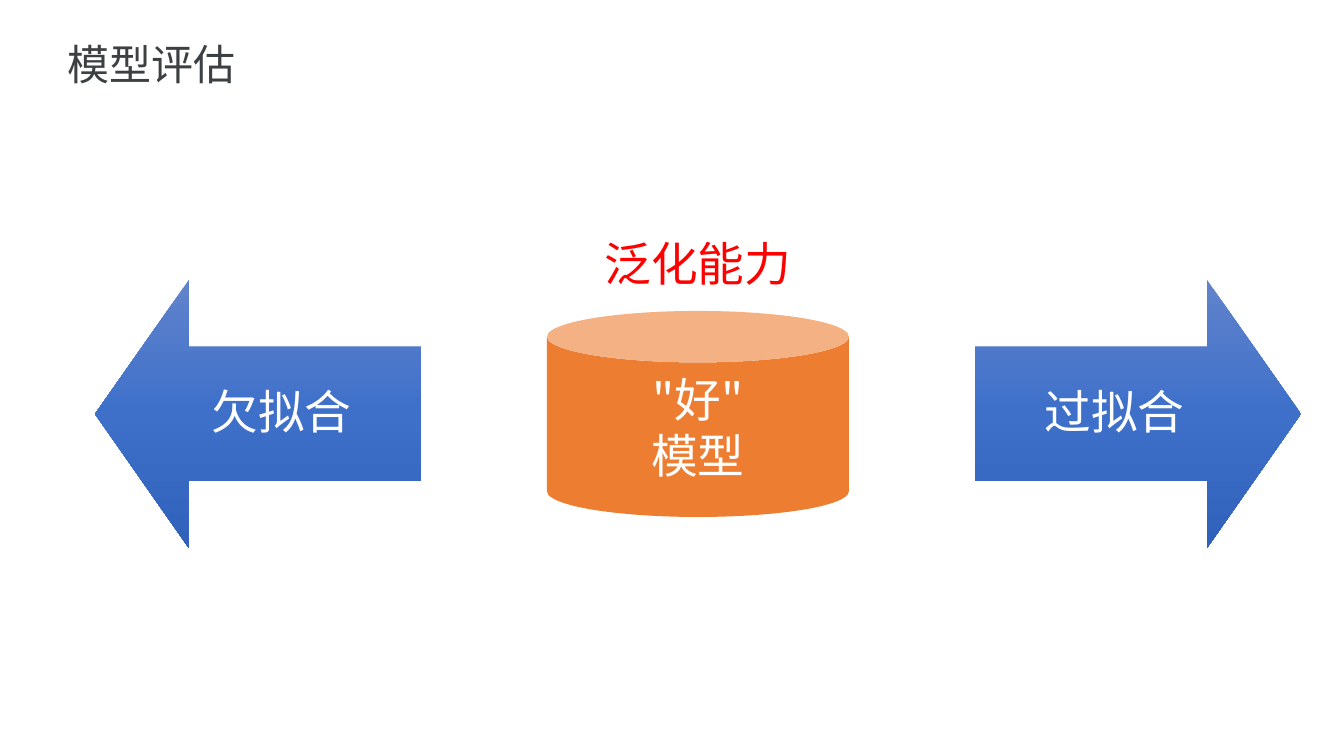
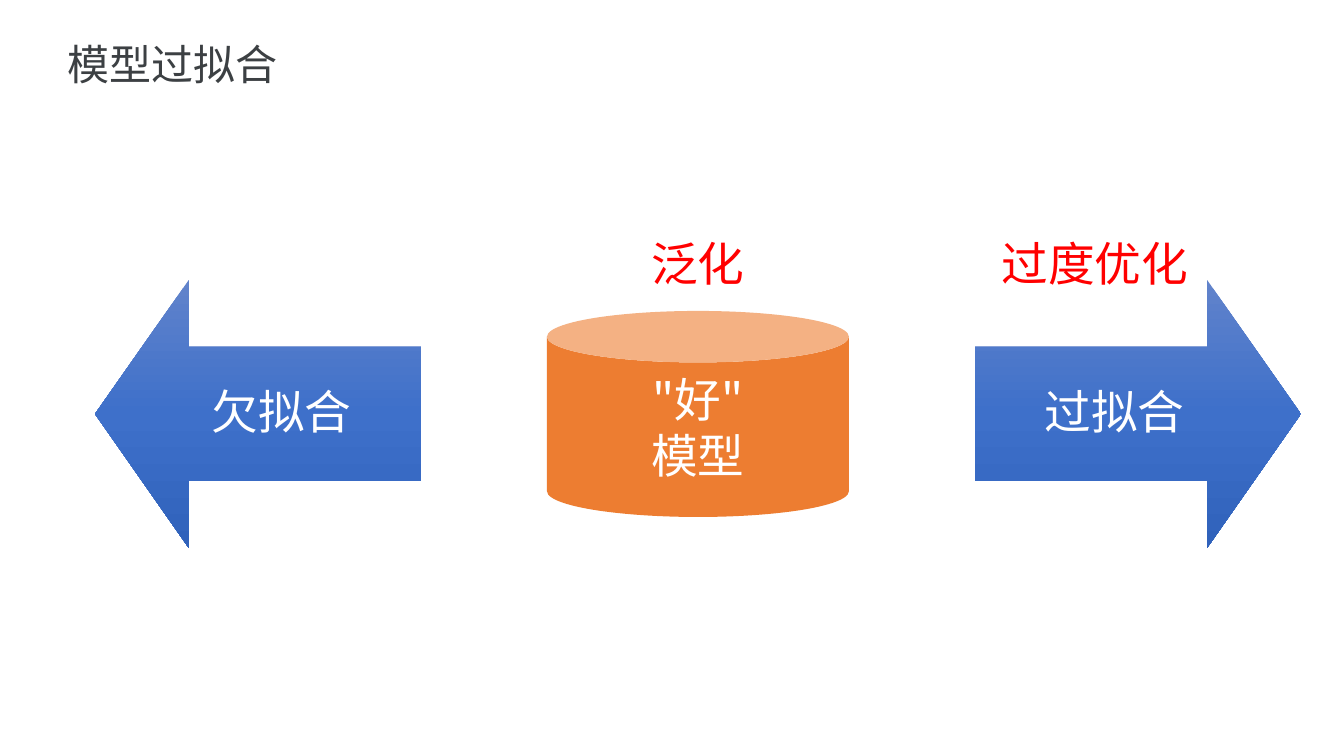
"""Build two slides that set a good model between underfitting and overfitting."""
import copy

import pptx
import pptx.dml.color
import pptx.enum.shapes
import pptx.enum.text
import pptx.oxml.ns
import pptx.util
from lxml import etree

SLIDES = [
    {"title": "模型评估", "labels": [("泛化能力", 698)]},
    {"title": "模型过拟合", "labels": [("泛化", 698), ("过度优化", 1095)]},
]
ARROWS = [("欠拟合", "LEFT_ARROW", 258), ("过拟合", "RIGHT_ARROW", 1138)]
MODEL = ['"好"', "模型"]
MODEL_CENTRE = 698

COLOURS = {"title": "3C4043", "label": "FF0000", "text": "FFFFFF", "model": "ED7D31"}
ARROW_GRADIENT = ["6183CB", "3E70CA", "3062BB"]
FONT = "Noto Sans CJK SC"
EMU_PER_PX = 914400 // 84
TITLE_BOX = (60, 36, 958, 65)
ARROW_TOP, ARROW_SIZE = 280, (326, 268)
MODEL_TOP, MODEL_SIZE = 311, (302, 206)
LABEL_TOP, LABEL_SIZE = 199, (297, 108)
INSET = 8

PRESETS = pptx.enum.shapes.MSO_SHAPE
ALIGN = pptx.enum.text.PP_ALIGN
ANCHOR = pptx.enum.text.MSO_ANCHOR


def px(length):
    return pptx.util.Emu(round(length * EMU_PER_PX))


def rgb(name):
    return pptx.dml.color.RGBColor.from_string(COLOURS.get(name, name))


def centred(centre, top, size):
    width, height = size
    return [px(length) for length in (centre - width / 2, top, width, height)]


def write(shape, lines, colour, size=40, align=ALIGN.CENTER, anchor=ANCHOR.MIDDLE, spacing=1.0):
    frame = shape.text_frame
    frame.word_wrap = True
    frame.auto_size = pptx.enum.text.MSO_AUTO_SIZE.NONE
    frame.vertical_anchor = anchor
    frame.margin_left = frame.margin_right = px(INSET)
    frame.margin_top = frame.margin_bottom = px(INSET)
    frame.text = "\n".join(lines)
    for paragraph in frame.paragraphs:
        paragraph.alignment = align
        paragraph.line_spacing = spacing
        paragraph.font.size = pptx.util.Pt(size)
        paragraph.font.name = FONT
        paragraph.font.color.rgb = rgb(colour)
    for properties in shape.element.iter(pptx.oxml.ns.qn("a:defRPr")):
        etree.SubElement(properties, pptx.oxml.ns.qn("a:ea"), typeface=FONT)


def add_preset(page, preset, place):
    shape = page.shapes.add_shape(preset, *place)
    shape.shadow.inherit = False
    shape.line.fill.background()
    return shape


def add_arrow(page, text, preset, centre):
    arrow = add_preset(page, PRESETS[preset], centred(centre, ARROW_TOP, ARROW_SIZE))
    arrow.adjustments[0] = 0.5
    arrow.adjustments[1] = 0.35
    arrow.fill.gradient()
    arrow.fill.gradient_angle = 270
    stop_list = arrow.element.find(".//" + pptx.oxml.ns.qn("a:gsLst"))
    stop_list.insert(1, copy.deepcopy(stop_list[0]))
    for index, (stop, colour) in enumerate(zip(arrow.fill.gradient_stops, ARROW_GRADIENT)):
        stop.color.rgb = rgb(colour)
        stop.position = index / (len(ARROW_GRADIENT) - 1)
    write(arrow, [text], "text", spacing=0.9)


def add_model(page):
    model = add_preset(page, PRESETS.CAN, centred(MODEL_CENTRE, MODEL_TOP, MODEL_SIZE))
    model.fill.solid()
    model.fill.fore_color.rgb = rgb("model")
    write(model, MODEL, "text")


def add_page(deck, content):
    page = deck.slides.add_slide(deck.slide_layouts[5])
    title = page.shapes.title
    title.left, title.top, title.width, title.height = [px(length) for length in TITLE_BOX]
    write(title, [content["title"]], "title", 36, ALIGN.LEFT, ANCHOR.TOP, 0.9)
    for arrow in ARROWS:
        add_arrow(page, *arrow)
    add_model(page)
    for text, centre in content["labels"]:
        label = page.shapes.add_textbox(*centred(centre, LABEL_TOP, LABEL_SIZE))
        write(label, [text], "label", anchor=ANCHOR.TOP, spacing=1.5)


def main():
    deck = pptx.Presentation()
    deck.slide_width, deck.slide_height = pptx.util.Inches(16), pptx.util.Inches(9)
    for content in SLIDES:
        add_page(deck, content)
    deck.save("out.pptx")


if __name__ == "__main__":
    main()
